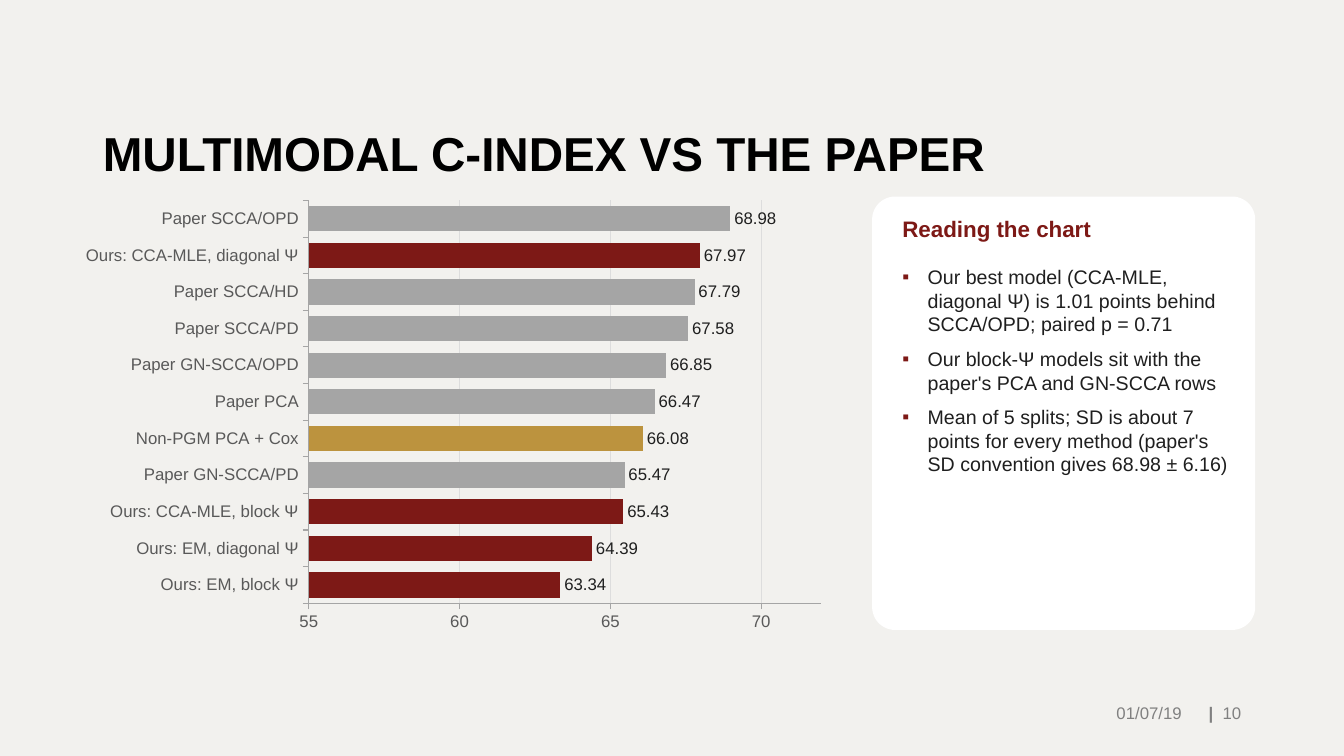
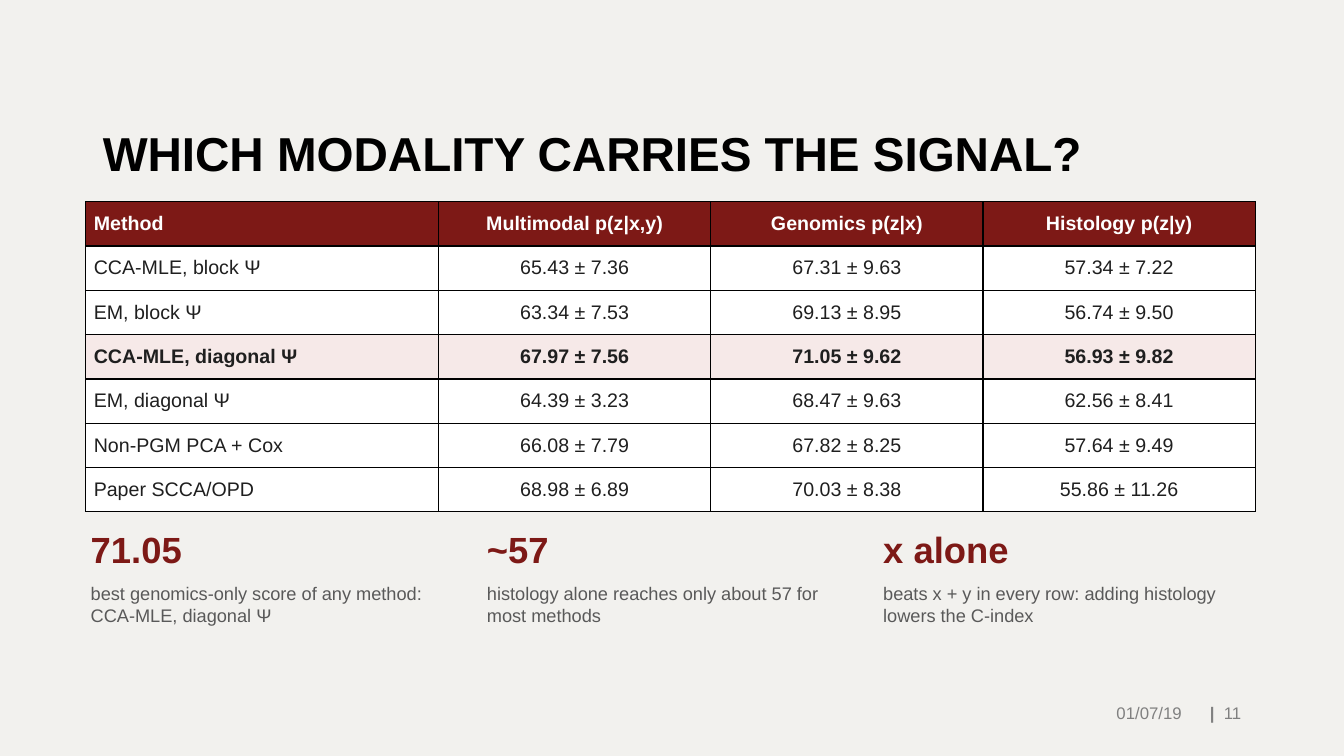
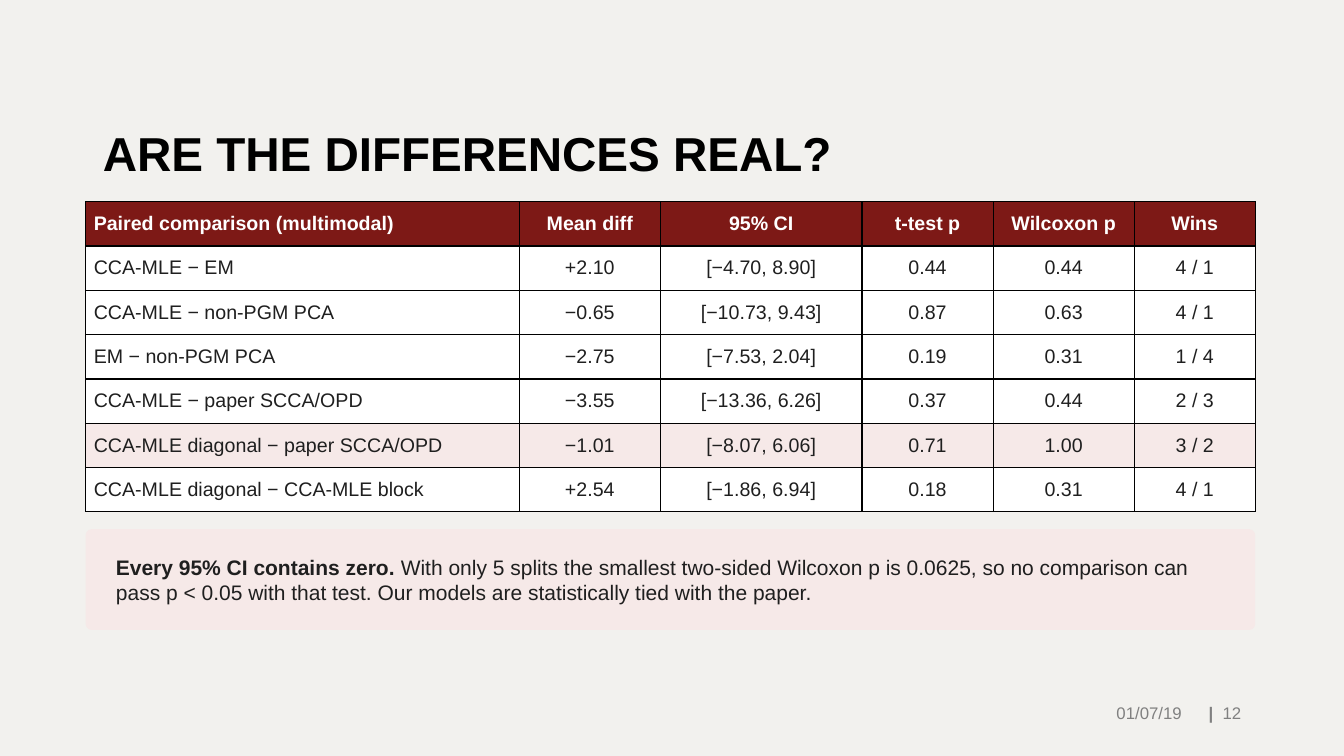
from dataclasses import dataclass

from lxml.etree import SubElement
from pptx import Presentation
from pptx.chart.data import CategoryChartData
from pptx.dml.color import RGBColor
from pptx.enum.chart import XL_CHART_TYPE as ChartType
from pptx.enum.chart import XL_LABEL_POSITION as LabelPosition
from pptx.enum.chart import XL_TICK_MARK as TickMark
from pptx.enum.shapes import MSO_SHAPE as Preset
from pptx.enum.text import MSO_ANCHOR as Anchor
from pptx.enum.text import MSO_AUTO_SIZE as AutoSize
from pptx.enum.text import PP_ALIGN as Align
from pptx.oxml.ns import qn
from pptx.util import Inches, Pt


@dataclass(frozen=True)
class Theme:
    font: str = "Arial"
    background: str = "F2F1EE"
    accent: str = "7D1916"
    tint: str = "F6E9E8"
    gold: str = "BC933E"
    gray: str = "A5A5A5"
    grid: str = "DDDDDD"
    white: str = "FFFFFF"
    black: str = "000000"
    ink: str = "1F1F1F"
    muted: str = "595959"
    footer: str = "808080"
    title_size: int = 34
    figure_size: int = 26
    heading_size: int = 16
    note_size: int = 15
    body_size: int = 14
    caption_size: int = 13
    small_size: int = 12


THEME = Theme()
TITLE_LAYOUT, CONTENT_LAYOUT = 5, 1
FIRST_NUMBER = 10
DATE = "01/07/19"
LEFT, WIDTH = 0.85, 11.6

SCORES = [
    ("Ours: EM, block Ψ", 63.34),
    ("Ours: EM, diagonal Ψ", 64.39),
    ("Ours: CCA-MLE, block Ψ", 65.43),
    ("Paper GN-SCCA/PD", 65.47),
    ("Non-PGM PCA + Cox", 66.08),
    ("Paper PCA", 66.47),
    ("Paper GN-SCCA/OPD", 66.85),
    ("Paper SCCA/PD", 67.58),
    ("Paper SCCA/HD", 67.79),
    ("Ours: CCA-MLE, diagonal Ψ", 67.97),
    ("Paper SCCA/OPD", 68.98),
]
READING = [
    "Our best model (CCA-MLE, diagonal Ψ) is 1.01 points behind SCCA/OPD; paired p = 0.71",
    "Our block-Ψ models sit with the paper's PCA and GN-SCCA rows",
    "Mean of 5 splits; SD is about 7 points for every method "
    "(paper's SD convention gives 68.98 ± 6.16)",
]
MODALITIES = [
    ("Method", "Multimodal p(z|x,y)", "Genomics p(z|x)", "Histology p(z|y)"),
    ("CCA-MLE, block Ψ", "65.43 ± 7.36", "67.31 ± 9.63", "57.34 ± 7.22"),
    ("EM, block Ψ", "63.34 ± 7.53", "69.13 ± 8.95", "56.74 ± 9.50"),
    ("CCA-MLE, diagonal Ψ", "67.97 ± 7.56", "71.05 ± 9.62", "56.93 ± 9.82"),
    ("EM, diagonal Ψ", "64.39 ± 3.23", "68.47 ± 9.63", "62.56 ± 8.41"),
    ("Non-PGM PCA + Cox", "66.08 ± 7.79", "67.82 ± 8.25", "57.64 ± 9.49"),
    ("Paper SCCA/OPD", "68.98 ± 6.89", "70.03 ± 8.38", "55.86 ± 11.26"),
]
FINDINGS = [
    ("71.05", "best genomics-only score of any method: CCA-MLE, diagonal Ψ"),
    ("~57", "histology alone reaches only about 57 for most methods"),
    ("x alone", "beats x + y in every row: adding histology lowers the C-index"),
]
COMPARISONS = [
    ("Paired comparison (multimodal)", "Mean diff", "95% CI", "t-test p", "Wilcoxon p", "Wins"),
    ("CCA-MLE − EM", "+2.10", "[−4.70, 8.90]", "0.44", "0.44", "4 / 1"),
    ("CCA-MLE − non-PGM PCA", "−0.65", "[−10.73, 9.43]", "0.87", "0.63", "4 / 1"),
    ("EM − non-PGM PCA", "−2.75", "[−7.53, 2.04]", "0.19", "0.31", "1 / 4"),
    ("CCA-MLE − paper SCCA/OPD", "−3.55", "[−13.36, 6.26]", "0.37", "0.44", "2 / 3"),
    ("CCA-MLE diagonal − paper SCCA/OPD", "−1.01", "[−8.07, 6.06]", "0.71", "1.00", "3 / 2"),
    ("CCA-MLE diagonal − CCA-MLE block", "+2.54", "[−1.86, 6.94]", "0.18", "0.31", "4 / 1"),
]


def rgb(color):
    return RGBColor.from_string(color)


def paint(target, color):
    target.fill.solid()
    target.fill.fore_color.rgb = rgb(color)


def place(shape, left, top, width, height):
    shape.left, shape.top = Inches(left), Inches(top)
    shape.width, shape.height = Inches(width), Inches(height)


def add_bullet(para, color):
    """Give the paragraph a coloured square with a hanging indent."""
    props = para._p.get_or_add_pPr()
    props.set("marL", str(Inches(0.25)))
    props.set("indent", str(-Inches(0.25)))
    SubElement(SubElement(props, qn("a:buClr")), qn("a:srgbClr"), val=color)
    SubElement(props, qn("a:buFont"), typeface=THEME.font)
    SubElement(props, qn("a:buChar"), char="▪")


def add_borders(cell, color):
    """Draw a one-point line on each side; call before the cell is filled."""
    props = cell._tc.get_or_add_tcPr()
    for side in ("lnL", "lnR", "lnT", "lnB"):
        line = SubElement(props, qn(f"a:{side}"), w=str(Pt(1)))
        fill = SubElement(line, qn("a:solidFill"))
        SubElement(fill, qn("a:srgbClr"), val=color)


class Builder:
    """Holds the deck, its theme and the slide being filled."""

    def __init__(self, theme):
        self.theme = theme
        self.deck = Presentation()
        self.deck.slide_width, self.deck.slide_height = Inches(13.33), Inches(7.5)
        paint(self.deck.slide_master.background, theme.background)
        self.page = None

    def style(self, font, size, color, bold=False):
        font.name, font.size, font.bold = self.theme.font, Pt(size), bold
        font.color.rgb = rgb(color)

    def start(self, title, layout=TITLE_LAYOUT):
        """Add a slide with its title and footer."""
        theme = self.theme
        self.page = self.deck.slides.add_slide(self.deck.slide_layouts[layout])
        heading = self.page.shapes.title
        place(heading, 0.92, 0.4, 11.5, 1.45)
        frame = heading.text_frame
        frame.text = title
        frame.vertical_anchor, frame.auto_size = Anchor.BOTTOM, AutoSize.NONE
        para = frame.paragraphs[0]
        para.alignment, para.line_spacing = Align.LEFT, 0.9
        self.style(para.font, theme.title_size, theme.black, True)

        number = FIRST_NUMBER + len(self.deck.slides) - 1
        footers = [
            ((11.81, 6.87, 0.6, 0.41), [("|  ", True), (str(number), False)]),
            ((8.67, 6.87, 3.15, 0.41), [(DATE, False)]),
        ]
        for area, spans in footers:
            self.text(area, spans, theme.small_size, theme.footer,
                      anchor=Anchor.MIDDLE, align=Align.RIGHT, insets=(0.1, 0.05))

    def text(self, area, spans, size, color, anchor=Anchor.TOP, align=Align.LEFT,
             insets=(0.05, 0.03)):
        """Add a one-paragraph box from (text, bold) pairs."""
        box = self.page.shapes.add_textbox(0, 0, 0, 0)
        place(box, *area)
        frame = box.text_frame
        frame.word_wrap, frame.vertical_anchor = True, anchor
        frame.margin_left = frame.margin_right = Inches(insets[0])
        frame.margin_top = frame.margin_bottom = Inches(insets[1])
        para = frame.paragraphs[0]
        para.alignment = align
        self.style(para.font, size, color, spans[0][1])
        for words, bold in spans:
            span = para.add_run()
            span.text = words
            if len(spans) > 1:
                span.font.bold = bold

    def bullets(self, area, items):
        body = self.page.placeholders[1]
        place(body, *area)
        frame = body.text_frame
        frame.auto_size, frame.vertical_anchor = AutoSize.NONE, Anchor.TOP
        frame.margin_left = frame.margin_right = Inches(0.05)
        frame.margin_top = frame.margin_bottom = Inches(0.03)
        frame.text = "\n".join(items)
        for para in frame.paragraphs:
            add_bullet(para, self.theme.accent)
            para.space_before, para.space_after = Pt(0), Pt(8)
            self.style(para.font, self.theme.body_size, self.theme.ink)

    def panel(self, area, color):
        panel = self.page.shapes.add_shape(Preset.ROUNDED_RECTANGLE, 0, 0, 0, 0)
        place(panel, *area)
        panel.adjustments[0] = 0.06
        panel.shadow.inherit = False
        paint(panel, color)
        panel.line.fill.background()
        # A placeholder made with the slide must stay in front of its panel.
        tree = self.page.shapes._spTree
        tree.remove(panel._element)
        tree.insert(2, panel._element)

    def table(self, rows, widths, marked, marked_bold=False):
        """Add a table with a header row and one tinted row."""
        theme = self.theme
        height = 0.44
        grid = self.page.shapes.add_table(
            len(rows), len(widths), Inches(LEFT), Inches(2),
            Inches(WIDTH), Inches(height * len(rows))).table
        grid.first_row = grid.horz_banding = False
        for column, width in zip(grid.columns, widths):
            column.width = Inches(width)
        for r, row in enumerate(rows):
            fill, color, bold = theme.white, theme.ink, False
            if r == 0:
                fill, color, bold = theme.accent, theme.white, True
            elif r == marked:
                fill, bold = theme.tint, marked_bold
            grid.rows[r].height = Inches(height)
            for c, words in enumerate(row):
                cell = grid.cell(r, c)
                add_borders(cell, theme.black)
                paint(cell, fill)
                cell.vertical_anchor = Anchor.MIDDLE
                cell.margin_left = cell.margin_right = Inches(0.08)
                cell.margin_top = cell.margin_bottom = Inches(0.03)
                cell.text = words
                para = cell.text_frame.paragraphs[0]
                para.alignment = Align.CENTER if c else Align.LEFT
                self.style(para.font, theme.body_size, color, bold)

    def bar_chart(self, area, scores):
        theme = self.theme
        data = CategoryChartData(number_format="0.00")
        data.categories = [name for name, _ in scores]
        data.add_series("Series 1", [value for _, value in scores])
        chart = self.page.shapes.add_chart(
            ChartType.BAR_CLUSTERED, *map(Inches, area), data).chart
        chart.has_legend = chart.has_title = False
        self.style(chart.font, theme.small_size, theme.black)

        for axis in (chart.category_axis, chart.value_axis):
            axis.major_tick_mark, axis.minor_tick_mark = TickMark.OUTSIDE, TickMark.NONE
            axis.format.line.color.rgb = rgb(theme.gray)
            axis.format.line.width = Pt(0.75)
            self.style(axis.tick_labels.font, theme.small_size, theme.muted)
        scale = chart.value_axis
        scale.minimum_scale, scale.maximum_scale, scale.major_unit = 55, 72, 5
        scale.tick_labels.number_format = "0"
        scale.tick_labels.number_format_is_linked = False
        grid_line = scale.major_gridlines.format.line
        grid_line.color.rgb, grid_line.width = rgb(theme.grid), Pt(0.75)

        plot = chart.plots[0]
        plot.gap_width, plot.vary_by_categories = 45, False
        plot.has_data_labels = True
        labels = plot.data_labels
        labels.show_value, labels.position = True, LabelPosition.OUTSIDE_END
        labels.number_format, labels.number_format_is_linked = "0.00", False
        self.style(labels.font, theme.small_size, theme.ink)

        series = plot.series[0]
        series.invert_if_negative = False
        paint(series.format, theme.gray)
        colors = {"Ours:": theme.accent, "Non-PGM": theme.gold}
        for index, (name, _) in enumerate(scores):
            group = name.split()[0]
            if group in colors:
                paint(series.points[index].format, colors[group])


def main():
    show = Builder(THEME)

    show.start("MULTIMODAL C-INDEX VS THE PAPER", CONTENT_LAYOUT)
    show.bar_chart((0.7, 1.9, 7.6, 4.45), SCORES)
    show.panel((8.65, 1.95, 3.8, 4.3), THEME.white)
    show.text((8.9, 2.1, 3.4, 0.4), [("Reading the chart", True)],
              THEME.heading_size, THEME.accent)
    show.bullets((8.9, 2.6, 3.4, 3.6), READING)

    show.start("WHICH MODALITY CARRIES THE SIGNAL?")
    show.table(MODALITIES, (3.5, 2.7, 2.7, 2.7), marked=3, marked_bold=True)
    for index, (figure, caption) in enumerate(FINDINGS):
        left = LEFT + 3.93 * index
        show.text((left, 5.2, 3.7, 0.55), [(figure, True)],
                  THEME.figure_size, THEME.accent)
        show.text((left, 5.75, 3.7, 0.6), [(caption, False)],
                  THEME.caption_size, THEME.muted)

    show.start("ARE THE DIFFERENCES REAL?")
    show.table(COMPARISONS, (4.3, 1.4, 2, 1.3, 1.4, 1.2), marked=5)
    show.panel((LEFT, 5.25, WIDTH, 1), THEME.tint)
    show.text((1.1, 5.3, 11.1, 0.9), [
        ("Every 95% CI contains zero. ", True),
        ("With only 5 splits the smallest two-sided Wilcoxon p is 0.0625, so no comparison "
         "can pass p < 0.05 with that test. Our models are statistically tied with the paper.",
         False),
    ], THEME.note_size, THEME.ink, anchor=Anchor.MIDDLE)

    show.deck.save("out.pptx")


if __name__ == "__main__":
    main()
